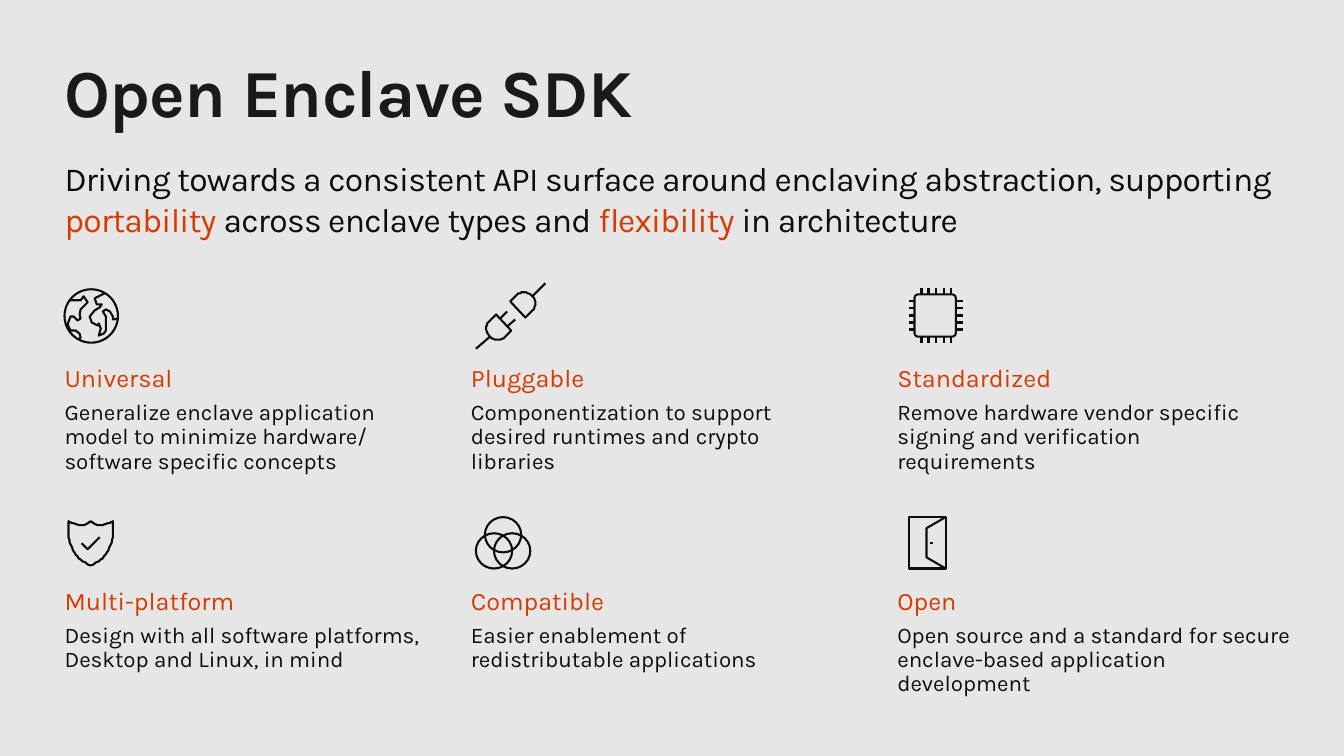
import dataclasses

import pptx
import pptx.dml.color
import pptx.enum.shapes
import pptx.enum.text
import pptx.util

Inches = pptx.util.Inches
Pt = pptx.util.Pt
SHAPE = pptx.enum.shapes.MSO_SHAPE
UNITS_PER_INCH = 100


@dataclasses.dataclass(frozen=True)
class Theme:
    font: str = "Karla"
    background: str = "E6E6E6"
    title: str = "1A1A1A"
    ink: str = "0D0D0D"
    accent: str = "D83B01"
    title_size: int = 48
    lead_size: int = 24
    heading_size: int = 18
    body_size: int = 16
    icon_line: float = 1.5
    tracking: int = -50


THEME = Theme()


def rgb(value):
    return pptx.dml.color.RGBColor.from_string(value)


def add_run(p, text, size, color, bold=False, tracking=0):
    r = p.add_run()
    r.text = text
    r.font.name = THEME.font
    r.font.size = Pt(size)
    r.font.bold = bold
    r.font.color.rgb = rgb(color)
    if tracking:
        r._r.get_or_add_rPr().set("spc", str(tracking))


def add_text_frame(s, x, y, w, h, right=0, vertical=0):
    tf = s.shapes.add_textbox(Inches(x), Inches(y), Inches(w), Inches(h)).text_frame
    tf.word_wrap = True
    tf.auto_size = pptx.enum.text.MSO_AUTO_SIZE.NONE
    tf.margin_left = 0
    tf.margin_right = Inches(right)
    tf.margin_top = tf.margin_bottom = Inches(vertical)
    return tf


def outline(sp):
    sp.shadow.inherit = False
    sp.fill.background()
    sp.line.color.rgb = rgb(THEME.ink)
    sp.line.width = Pt(THEME.icon_line)


def add_preset(s, kind, x, y, w, h):
    sp = s.shapes.add_shape(kind, Inches(x), Inches(y), Inches(w), Inches(h))
    outline(sp)
    return sp


def add_strokes(s, x, y, strokes):
    builder = s.shapes.build_freeform(*strokes[0][0], scale=Inches(1) / UNITS_PER_INCH)
    for i, points in enumerate(strokes):
        if i:
            builder.move_to(*points[0])
        closed = points[0] == points[-1]
        builder.add_line_segments(points[1:-1] if closed else points[1:], close=closed)
    outline(builder.convert_to_shape(Inches(x), Inches(y)))


def curve(a, b, c, d, steps=12):
    points = []
    for i in range(steps + 1):
        t = i / steps
        weights = ((1 - t) ** 3, 3 * t * (1 - t) ** 2, 3 * t * t * (1 - t), t ** 3)
        points.append(tuple(
            round(sum(k * q[axis] for k, q in zip(weights, (a, b, c, d))), 2)
            for axis in (0, 1)))
    return points


def globe(s, x, y):
    add_preset(s, SHAPE.OVAL, x, y, 0.53, 0.53)
    west = [(14, 50), (16, 48), (15, 44), (11, 41), (6, 41), (3, 35), (6, 27),
            (9, 27), (13, 31), (16, 29), (15, 25), (16, 20), (23, 13), (19, 7),
            (16, 11), (5, 11)]
    east = [(40, 4), (30, 9), (32, 15), (37, 15), (35, 18), (30, 21), (25, 27),
            (27, 33), (33, 36), (34, 34), (36, 39), (34, 46), (39, 44), (41, 41),
            (41, 27), (38, 22), (41, 20), (45, 22), (48, 27), (48, 30), (53, 29)]
    add_strokes(s, x, y, [west, east])


def plug(s, x, y):
    socket = ([(34, 18)] + curve((40, 12), (44, 8), (52, 8), (56, 13))
              + curve((56, 13), (60, 17), (60, 24), (55, 28)) + [(49, 34), (34, 18)])
    body = ([(20, 31)] + curve((14, 37), (9, 41), (9, 48), (14, 53))
            + curve((14, 53), (18, 57), (25, 57), (29, 53)) + [(35, 47), (20, 31)])
    cords = [[(56, 13), (69, 0)], [(14, 53), (0, 65)]]
    prongs = [[(31, 28), (24, 35)], [(39, 36), (31, 43)]]
    add_strokes(s, x, y, [socket, body] + cords + prongs)


def chip(s, x, y):
    sp = add_preset(s, SHAPE.ROUNDED_RECTANGLE, x + 0.05, y + 0.06, 0.41, 0.42)
    sp.adjustments[0] = 0.09
    pins = []
    for i in range(5):
        px, py = 12 + 7.2 * i, 13 + 7 * i
        pins += [[(px, 0), (px, 6)], [(px, 48), (px, 54)],
                 [(0, py), (5, py)], [(46, py), (53, py)]]
    add_strokes(s, x, y, pins)


def shield(s, x, y):
    right = (curve((22, 0), (23, 1), (26, 4), (31, 4))
             + curve((31, 4), (38, 4), (44, 0), (44, 0))
             + curve((44, 0), (44, 0), (45, 20), (41, 25))
             + curve((41, 25), (39, 31), (34, 39), (22, 44)))
    left = [(44 - px, py) for px, py in reversed(right)]
    add_strokes(s, x, y, [right + left, [(13, 22), (19, 28), (31, 16)]])


def circles(s, x, y):
    for dx, dy in ((0, 0.16), (0.18, 0.16), (0.09, 0)):
        add_preset(s, SHAPE.OVAL, x + dx, y + dy, 0.36, 0.35)


def door(s, x, y):
    frame = [(0, 0), (36, 0), (36, 51), (0, 51), (0, 0)]
    leaf = [(36, 0), (17, 11), (17, 40), (36, 51)]
    add_strokes(s, x, y, [frame, leaf, [(20, 26), (23, 26)]])


def add_header(s, x, y, w):
    tf = add_text_frame(s, x, y, w, 0.81)
    add_run(tf.paragraphs[0], "Open Enclave SDK", THEME.title_size, THEME.title,
            True, THEME.tracking)
    tf = add_text_frame(s, x, y + 1.07, w, 0.81)
    for text, color in (
            ("Driving towards a consistent API surface around enclaving abstraction, "
             "supporting ", THEME.ink),
            ("portability ", THEME.accent),
            ("across enclave types and ", THEME.ink),
            ("flexibility ", THEME.accent),
            ("in architecture", THEME.ink)):
        add_run(tf.paragraphs[0], text, THEME.lead_size, color,
                tracking=THEME.tracking)


def add_card(s, x, y, w, icon, dx, dy, heading, body):
    icon(s, x + dx, y + dy)
    tf = add_text_frame(s, x, y + 0.72, w, 1.04, right=0.1, vertical=0.1)
    p = tf.paragraphs[0]
    p.line_spacing = 0.9
    add_run(p, heading, THEME.heading_size, THEME.accent)
    p = tf.add_paragraph()
    p.line_spacing = 0.9
    p.space_before = Pt(6)
    add_run(p, body, THEME.body_size, THEME.ink)


COLUMNS = (0.64, 4.67, 8.9)
ROWS = (2.81, 5.02)
CARDS = (
    (3.47, globe, 0, 0.06, "Universal",
     "Generalize enclave application model to minimize hardware/ "
     "software specific concepts"),
    (3.77, plug, 0.05, 0, "Pluggable",
     "Componentization to support desired runtimes and crypto libraries"),
    (3.77, chip, 0.12, 0.05, "Standardized",
     "Remove hardware vendor specific signing and verification requirements"),
    (3.85, shield, 0.04, 0.15, "Multi-platform",
     "Design with all software platforms, Desktop and Linux, in mind"),
    (3.1, circles, 0.05, 0.11, "Compatible",
     "Easier enablement of redistributable applications"),
    (4.04, door, 0.12, 0.11, "Open",
     "Open source and a standard for secure enclave-based application development"),
)


def main():
    prs = pptx.Presentation()
    prs.slide_width, prs.slide_height = Inches(13.33), Inches(7.5)
    s = prs.slides.add_slide(prs.slide_layouts[6])
    s.background.fill.solid()
    s.background.fill.fore_color.rgb = rgb(THEME.background)
    add_header(s, COLUMNS[0], 0.5, 12.05)
    for i, card in enumerate(CARDS):
        row, column = divmod(i, len(COLUMNS))
        add_card(s, COLUMNS[column], ROWS[row], *card)
    prs.save("out.pptx")


if __name__ == "__main__":
    main()
